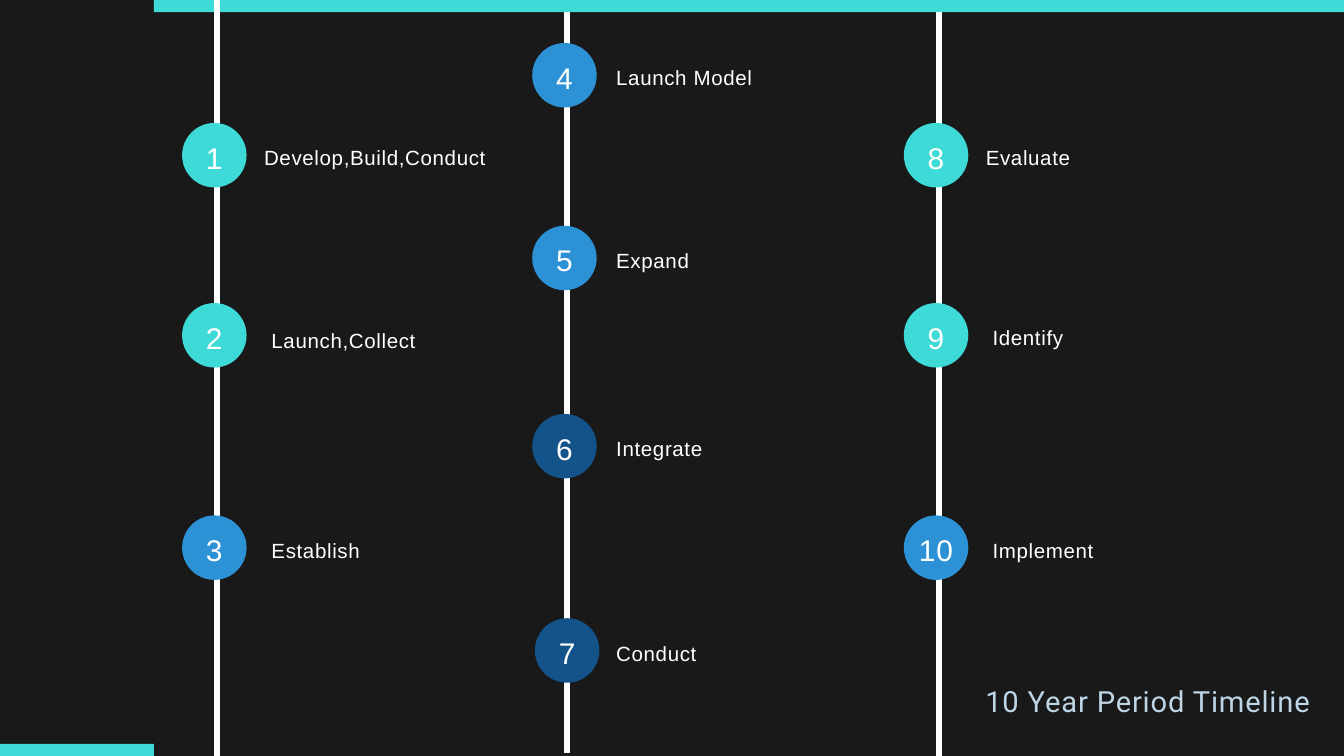
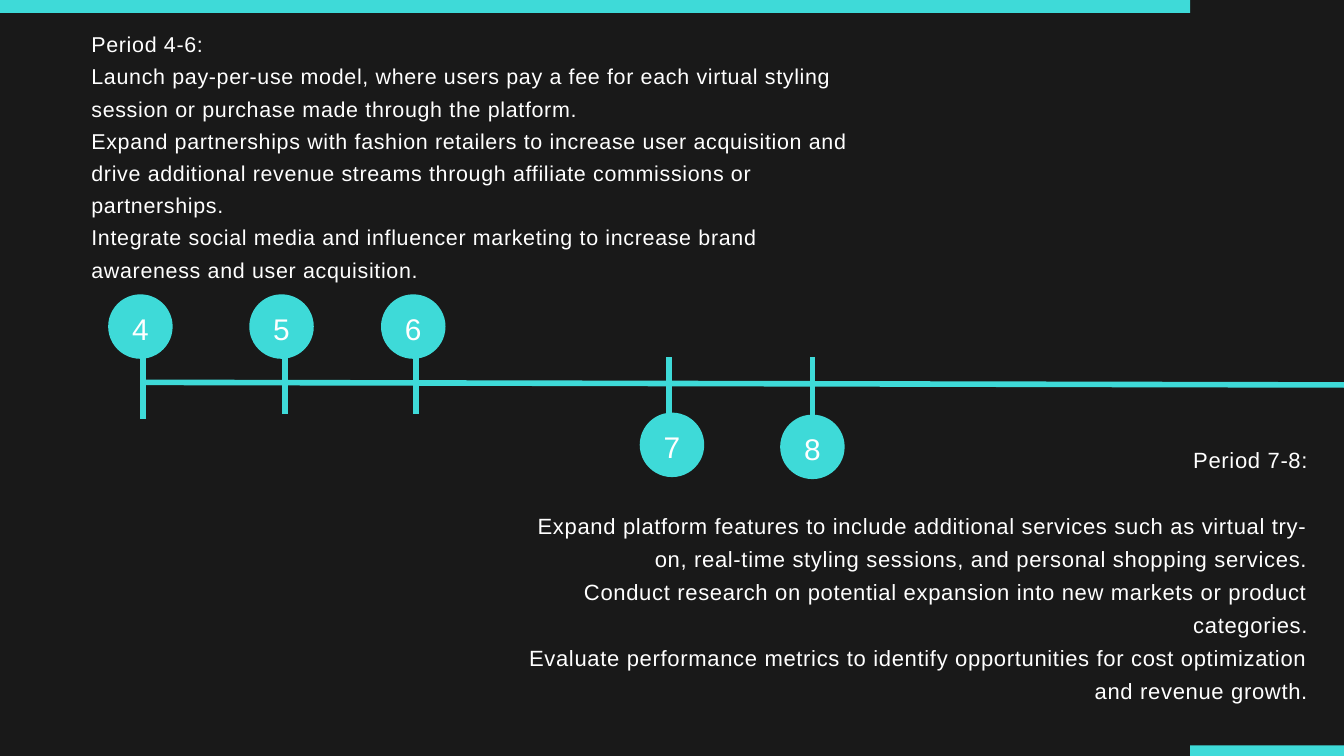
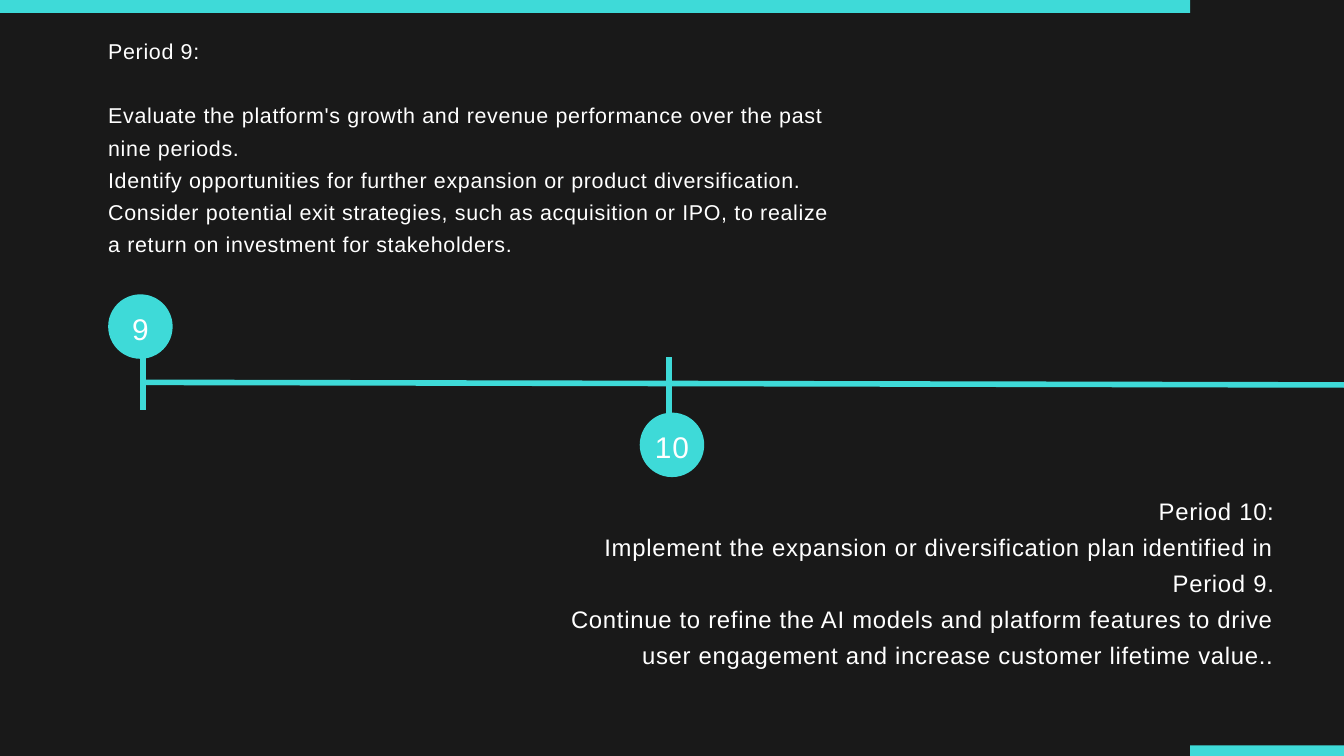
from dataclasses import dataclass

from lxml import etree
from pptx import Presentation
from pptx.dml.color import RGBColor
from pptx.enum.shapes import MSO_CONNECTOR, MSO_SHAPE
from pptx.enum.text import MSO_ANCHOR, MSO_AUTO_SIZE, PP_ALIGN
from pptx.oxml.ns import qn
from pptx.util import Inches, Pt


@dataclass(frozen=True)
class Theme:
    background: str = "191919"
    white: str = "FFFFFF"
    teal: str = "3EDAD8"
    blue: str = "2C92D5"
    navy: str = "13538A"
    pale: str = "BED5E5"
    body_font: str = "Arial"
    title_font: str = "Roboto"
    title_size: float = 31.2
    number_size: float = 32
    label_size: float = 22
    upper_size: float = 23
    lower_size: float = 23.6
    closing_size: float = 25.6
    leading: float = 1.5
    line_width: float = 6


THEME = Theme()
CIRCLE = 0.96
LABEL_DROP = 0.24
UPPER_CIRCLE_TOP = 4.38

# Number, label, circle left, circle top, label left, colour
MILESTONES = [
    (1, "Develop,Build,Conduct", 2.71, 1.83, 3.93, THEME.teal),
    (2, "Launch,Collect", 2.71, 4.51, 4.04, THEME.teal),
    (3, "Establish", 2.71, 7.67, 4.04, THEME.blue),
    (4, "Launch Model", 7.92, 0.64, 9.17, THEME.blue),
    (5, "Expand", 7.92, 3.36, 9.17, THEME.blue),
    (6, "Integrate", 7.92, 6.16, 9.17, THEME.navy),
    (7, "Conduct", 7.96, 9.2, 9.17, THEME.navy),
    (8, "Evaluate", 13.45, 1.83, 14.67, THEME.teal),
    (9, "Identify", 13.45, 4.51, 14.77, THEME.teal),
    (10, "Implement", 13.45, 7.67, 14.77, THEME.blue),
]

PERIOD_4_6 = [
    "Period 4-6:",
    "Launch pay-per-use model, where users pay a fee for each virtual styling "
    "session or purchase made through the platform.",
    "Expand partnerships with fashion retailers to increase user acquisition and "
    "drive additional revenue streams through affiliate commissions or partnerships.",
    "Integrate social media and influencer marketing to increase brand awareness "
    "and user acquisition.",
]
PERIOD_7_8 = [
    "Period 7-8:",
    "Expand platform features to include additional services such as virtual "
    "try-on, real-time styling sessions, and personal shopping services.",
    "Conduct research on potential expansion into new markets or product categories.",
    "Evaluate performance metrics to identify opportunities for cost optimization "
    "and revenue growth.",
]
PERIOD_9 = [
    "Period 9:",
    "Evaluate the platform's growth and revenue performance over the past nine periods.",
    "Identify opportunities for further expansion or product diversification.",
    "Consider potential exit strategies, such as acquisition or IPO, to realize a "
    "return on investment for stakeholders.",
]
PERIOD_10 = [
    "Period 10:",
    "Implement the expansion or diversification plan identified in Period 9.",
    "Continue to refine the AI models and platform features to drive user "
    "engagement and increase customer lifetime value..",
]


def rgb(color):
    return RGBColor.from_string(color)


def add_dark_slide(deck):
    slide = deck.slides.add_slide(deck.slide_layouts[6])
    slide.background.fill.solid()
    slide.background.fill.fore_color.rgb = rgb(THEME.background)
    return slide


def style_paragraph(paragraph, size, color, align, spacing, font_name=THEME.body_font):
    """Set the type; spacing is the gap between letters in points."""
    paragraph.alignment = align
    font = paragraph.font
    font.name, font.size = font_name, Pt(size)
    font.color.rgb = rgb(color)
    defaults = paragraph._p.get_or_add_pPr().get_or_add_defRPr()
    defaults.set("spc", str(round(spacing * 100)))


def add_filled(slide, preset, left, top, width, height, color):
    shape = slide.shapes.add_shape(
        preset, Inches(left), Inches(top), Inches(width), Inches(height))
    shape.shadow.inherit = False
    shape.fill.solid()
    shape.fill.fore_color.rgb = rgb(color)
    shape.line.fill.background()
    return shape


def add_bar(slide, left, top, width, height):
    add_filled(slide, MSO_SHAPE.RECTANGLE, left, top, width, height, THEME.teal)


def add_rule(slide, x1, y1, x2, y2, color):
    rule = slide.shapes.add_connector(
        MSO_CONNECTOR.STRAIGHT, Inches(x1), Inches(y1), Inches(x2), Inches(y2))
    rule.line.color.rgb = rgb(color)
    rule.line.width = Pt(THEME.line_width)
    etree.SubElement(rule._element.spPr, qn("a:effectLst"))


def add_number(slide, number, left, top, color=THEME.teal):
    circle = add_filled(slide, MSO_SHAPE.OVAL, left, top, CIRCLE, CIRCLE, color)
    frame = circle.text_frame
    frame.margin_left = frame.margin_right = frame.margin_bottom = 0
    frame.margin_top = Inches(0.06)
    frame.vertical_anchor = MSO_ANCHOR.MIDDLE
    frame.word_wrap = False
    frame.text = str(number)
    style_paragraph(frame.paragraphs[0], THEME.number_size, THEME.white,
                    PP_ALIGN.CENTER, 1)


def add_text(slide, lines, left, top, width, height, size, align=PP_ALIGN.LEFT,
             color=THEME.white, font_name=THEME.body_font, spacing=0.7,
             heading_gap=False):
    """Write one paragraph a line; heading_gap leaves a line under the first."""
    box = slide.shapes.add_textbox(
        Inches(left), Inches(top), Inches(width), Inches(height))
    frame = box.text_frame
    frame.margin_left = frame.margin_right = 0
    frame.margin_top = frame.margin_bottom = 0
    frame.word_wrap = True
    frame.auto_size = MSO_AUTO_SIZE.SHAPE_TO_FIT_TEXT
    frame.text = "\n".join(lines)
    leading = Pt(size * THEME.leading)
    for paragraph in frame.paragraphs:
        paragraph.line_spacing = leading
        style_paragraph(paragraph, size, color, align, spacing, font_name)
    if heading_gap:
        frame.paragraphs[0].space_after = leading


def add_period_axis(slide):
    add_rule(slide, 2.09, 5.69, 20.72, 5.73, THEME.teal)
    add_bar(slide, 17.71, 11.09, 2.5, 0.18)
    add_bar(slide, 0, 0, 17.71, 0.19)


def add_stop(slide, number, tick, tick_bottom, left, top):
    """Mark a period with a tick across the axis and a numbered circle."""
    add_rule(slide, tick, tick_bottom, tick, tick_bottom - 0.92, THEME.teal)
    add_number(slide, number, left, top)


def build_overview(deck):
    slide = add_dark_slide(deck)
    add_rule(slide, 8.44, 11.21, 8.44, -0.62, THEME.white)
    add_rule(slide, 13.97, 12.47, 13.97, 0.14, THEME.white)
    add_bar(slide, -0.21, 11.07, 2.5, 0.18)
    add_bar(slide, 2.29, 0, 17.71, 0.18)
    add_rule(slide, 3.23, 11.54, 3.23, -0.29, THEME.white)
    for number, label, left, top, label_left, color in MILESTONES:
        add_number(slide, number, left, top, color)
        drop = 0.28 if number == 2 else LABEL_DROP
        add_text(slide, [label], label_left, top + drop, 3.44, 0.42, THEME.label_size)
    add_text(slide, ["10 Year Period Timeline"], 12.61, 10.04, 8.94, 0.6,
             THEME.title_size, PP_ALIGN.CENTER, THEME.pale, THEME.title_font, 0.9)


def build_periods_4_to_8(deck):
    slide = add_dark_slide(deck)
    add_period_axis(slide)
    add_stop(slide, 4, 2.13, 6.23, 1.61, UPPER_CIRCLE_TOP)
    add_stop(slide, 5, 4.24, 6.16, 3.71, UPPER_CIRCLE_TOP)
    add_stop(slide, 6, 6.19, 6.16, 5.67, UPPER_CIRCLE_TOP)
    add_stop(slide, 7, 9.96, 6.23, 9.52, 6.14)
    add_stop(slide, 8, 12.09, 6.23, 11.61, 6.17)
    add_text(slide, PERIOD_4_6, 1.36, 0.37, 11.45, 4.18, THEME.upper_size)
    add_text(slide, PERIOD_7_8, 7.72, 6.54, 11.74, 4.37, THEME.lower_size,
             PP_ALIGN.RIGHT, heading_gap=True)


def build_periods_9_to_10(deck):
    slide = add_dark_slide(deck)
    add_period_axis(slide)
    add_stop(slide, 9, 2.13, 6.1, 1.61, UPPER_CIRCLE_TOP)
    add_stop(slide, 10, 9.96, 6.23, 9.52, 6.14)
    add_text(slide, PERIOD_9, 1.61, 0.47, 11, 3.73, THEME.upper_size, heading_gap=True)
    add_text(slide, PERIOD_10, 8.36, 7.29, 10.6, 3.16, THEME.closing_size,
             PP_ALIGN.RIGHT, spacing=0.8)


def main():
    deck = Presentation()
    deck.slide_width, deck.slide_height = Inches(20), Inches(11.25)
    build_overview(deck)
    build_periods_4_to_8(deck)
    build_periods_9_to_10(deck)
    deck.save("out.pptx")


if __name__ == "__main__":
    main()
